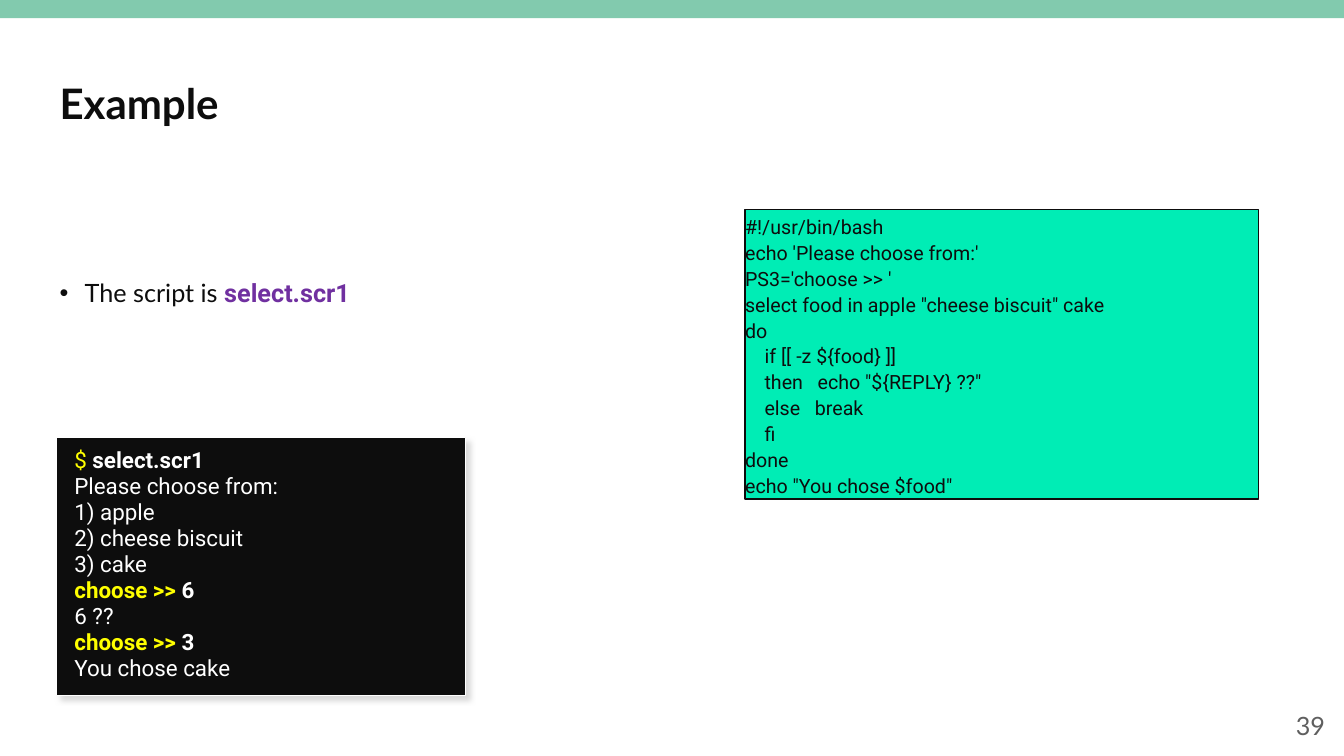
from lxml import etree
from pptx import Presentation
from pptx.dml.color import RGBColor
from pptx.enum.shapes import MSO_SHAPE
from pptx.enum.text import MSO_ANCHOR, MSO_AUTO_SIZE, PP_ALIGN
from pptx.oxml.ns import qn
from pptx.util import Inches, Pt

RECT = MSO_SHAPE.RECTANGLE
TOP, MIDDLE = MSO_ANCHOR.TOP, MSO_ANCHOR.MIDDLE
LEFT, RIGHT = PP_ALIGN.LEFT, PP_ALIGN.RIGHT
GROW, FIXED = MSO_AUTO_SIZE.SHAPE_TO_FIT_TEXT, MSO_AUTO_SIZE.NONE

BAND_GREEN = RGBColor(0x82, 0xCA, 0xAE)
CODE_GREEN = RGBColor(0x00, 0xED, 0xB5)
INK = RGBColor(0x0D, 0x0D, 0x0D)
GREY = RGBColor(0x5F, 0x5F, 0x5F)
PURPLE = RGBColor(0x70, 0x30, 0xA0)
YELLOW = RGBColor(0xFF, 0xFF, 0x00)
WHITE = RGBColor(0xFF, 0xFF, 0xFF)
SHADOW_GREY = RGBColor(0xDA, 0xDA, 0xDA)

SCRIPT_LINES = [
    "#!/usr/bin/bash",
    "echo 'Please choose from:'",
    "PS3='choose >> '",
    'select food in apple "cheese biscuit" cake',
    "do",
    "    if [[ -z ${food} ]]",
    '    then   echo "${REPLY} ??"',
    "    else   break",
    "    fi",
    "done",
    'echo "You chose $food"',
]
# Each session line: prompt, typed input, program output
SESSION_LINES = [
    ("$ ", "select.scr1", ""),
    ("", "", "Please choose from:"),
    ("", "", "1) apple"),
    ("", "", "2) cheese biscuit"),
    ("", "", "3) cake"),
    ("choose >> ", "6", ""),
    ("", "", "6 ??"),
    ("choose >> ", "3", ""),
    ("", "", "You chose cake"),
]


def style(run, size, color, face="Roboto", bold=False):
    run.font.size = Pt(size)
    run.font.name = face
    run.font.color.rgb = color
    run.font.bold = bold


def add_run(paragraph, text, size, color, face="Roboto", bold=False):
    run = paragraph.add_run()
    run.text = text
    style(run, size, color, face, bold)


def move(part, box):
    part.left, part.top, part.width, part.height = map(Inches, box)


def add_panel(slide, box, fill, line=None):
    panel = slide.shapes.add_shape(RECT, *map(Inches, box))
    panel.shadow.inherit = False
    panel.fill.solid()
    panel.fill.fore_color.rgb = fill
    if line is None:
        panel.line.fill.background()
    else:
        panel.line.color.rgb = line
        panel.line.width = Pt(1)
    return panel


def prepare_frame(panel, margins):
    frame = panel.text_frame
    frame.word_wrap = True
    frame.auto_size = GROW
    frame.vertical_anchor = TOP
    (frame.margin_left, frame.margin_top,
     frame.margin_right, frame.margin_bottom) = map(Inches, margins)
    return frame


def add_title(slide, box):
    title = slide.shapes.title
    move(title, box)
    frame = title.text_frame
    frame.text = "Example"
    frame.auto_size = FIXED
    frame.vertical_anchor = MIDDLE
    frame.paragraphs[0].alignment = LEFT
    style(frame.paragraphs[0].runs[0], 30, INK, "Lato", True)


def add_bullet(slide, box):
    body = slide.placeholders[1]
    move(body, box)
    body.text_frame.auto_size = FIXED
    bullet = body.text_frame.paragraphs[0]
    properties = bullet._p.get_or_add_pPr()
    properties.set("marL", str(Inches(0.25)))
    properties.set("indent", str(-Inches(0.25)))
    etree.SubElement(properties, qn("a:buChar"), char="•")
    bullet.line_spacing = 0.9
    bullet.space_before = Pt(0)
    add_run(bullet, "The script is ", 18, INK, "Lato")
    add_run(bullet, "select.scr1", 18, PURPLE, bold=True)


def add_page_number(slide, box):
    page_number = slide.shapes.add_textbox(*map(Inches, box))
    frame = page_number.text_frame
    frame.word_wrap = True
    frame.vertical_anchor = MIDDLE
    frame.text = "39"
    frame.paragraphs[0].alignment = RIGHT
    style(frame.paragraphs[0].runs[0], 18, GREY, "Lato")


def add_script(slide, box):
    script = add_panel(slide, box, CODE_GREEN, INK)
    frame = prepare_frame(script, (0, 0.03, 0, 0))
    frame.text = "\n".join(SCRIPT_LINES)
    for code_line in frame.paragraphs:
        code_line.alignment = LEFT
        code_line.line_spacing = 1.1
        style(code_line.runs[0], 14, INK)


def add_session(slide, box):
    terminal = add_panel(slide, box, INK, WHITE)

    # Soft shadow to the lower right
    effects = terminal.element.spPr.find(qn("a:effectLst"))
    shadow = etree.SubElement(
        effects, qn("a:outerShdw"), blurRad=str(Pt(4)), dist=str(Pt(4)),
        dir=str(45 * 60000), algn="tl", rotWithShape="0")
    etree.SubElement(shadow, qn("a:srgbClr"), val=str(SHADOW_GREY))

    # Prompts in yellow, typed input in bold white
    frame = prepare_frame(terminal, (0.1, 0.1, 0.1, 0.06))
    for number, (prompt, typed, output) in enumerate(SESSION_LINES):
        line = frame.add_paragraph() if number else frame.paragraphs[0]
        line._p.get_or_add_pPr().set("marL", str(Inches(0.08)))
        line.alignment = LEFT
        line.line_spacing = Pt(18.5)
        if prompt:
            add_run(line, prompt, 16, YELLOW, bold=prompt != "$ ")
            add_run(line, typed, 16, WHITE, bold=True)
        else:
            add_run(line, output, 16, WHITE)


def build_example_slide(presentation):
    slide = presentation.slides.add_slide(presentation.slide_layouts[1])
    add_panel(slide, (0, 0, 13.33, 0.18), BAND_GREEN)
    add_title(slide, (0.49, 0.55, 12.36, 0.94))
    add_bullet(slide, (0.49, 2.73, 12.36, 3.93))
    add_page_number(slide, (10.24, 7, 3, 0.4))
    add_script(slide, (7.39, 2.08, 5.09, 2.87))
    add_session(slide, (0.56, 4.34, 4.06, 2.56))


def main():
    presentation = Presentation()
    presentation.slide_width = Inches(13.33)
    presentation.slide_height = Inches(7.5)
    build_example_slide(presentation)
    presentation.save("out.pptx")


if __name__ == "__main__":
    main()
